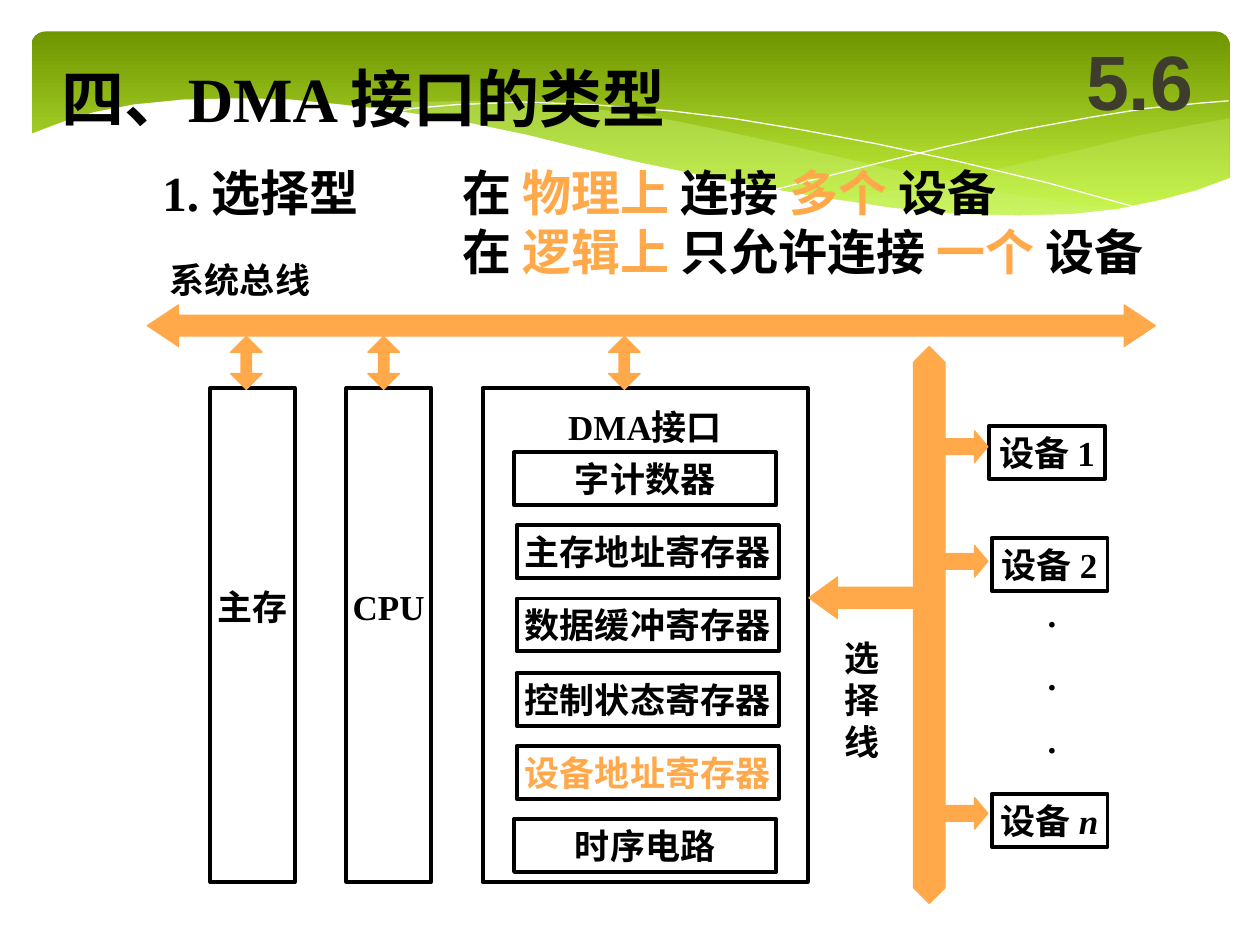
from lxml.etree import SubElement
from pptx import Presentation
from pptx.dml.color import RGBColor
from pptx.enum.shapes import MSO_SHAPE as Shape
from pptx.enum.text import MSO_ANCHOR as Anchor, MSO_AUTO_SIZE as AutoSize, PP_ALIGN as Align
from pptx.oxml.ns import qn
from pptx.util import Pt

PX = 9144  # 100 px to the inch
BLACK, ORANGE, WHITE, PALE_GREEN = "000000", "FFA94A", "FFFFFF", "CAF278"
color = RGBColor.from_string


def add_block(kind, box, fill=None, line=None, width=0.75, adjustments=()):
    block = slide.shapes.add_shape(kind, *[n * PX for n in box])
    block.shadow.inherit = False
    for index, value in enumerate(adjustments):
        block.adjustments[index] = value
    if fill:
        block.fill.solid()
        block.fill.fore_color.rgb = color(fill)
    else:
        block.fill.background()
    if line:
        block.line.color.rgb = color(line)
        block.line.width = Pt(width)
    else:
        block.line.fill.background()
    return block


def format_text(shape, size, hex_color=BLACK, align=Align.LEFT, anchor=Anchor.TOP,
                font="Times New Roman", wrap=False):
    frame = shape.text_frame
    frame.word_wrap = wrap
    frame.auto_size = AutoSize.NONE
    frame.vertical_anchor = anchor
    for paragraph in frame.paragraphs:
        paragraph.alignment = align
        for run in paragraph.runs:
            run.font.name = font
            run.font.size = Pt(size)
            run.font.bold = True
            run.font.color.rgb = color(hex_color)


presentation = Presentation()
presentation.slide_width = 1000 * PX
presentation.slide_height = 750 * PX
slide = presentation.slides.add_slide(presentation.slide_layouts[1])
title, body = slide.placeholders

# Green banner with waves
banner = add_block(Shape.ROUNDED_RECTANGLE, (25, 25, 951, 156), PALE_GREEN, adjustments=[0.07])
banner.fill.gradient()
banner.fill.gradient_angle = 270
for stop, hex_color in zip(banner.fill.gradient_stops, ("6F9500", "D0FF44")):
    stop.color.rgb = color(hex_color)

right_wave = [(975, 94), (948, 99), (906, 107), (861, 118), (805, 131), (753, 143), (706, 152),
              (661, 160), (691, 164), (732, 168), (769, 171), (803, 172), (835, 172), (872, 169),
              (905, 163), (935, 156), (963, 147), (976, 141), (976, 94)]
long_wave = [(893, 167), (837, 160), (775, 149), (706, 134), (629, 116), (584, 106), (541, 97),
             (501, 90), (441, 83), (380, 80), (328, 81), (286, 86), (342, 94), (404, 106),
             (449, 116), (530, 135), (601, 150), (665, 161), (722, 168), (773, 172), (818, 173),
             (857, 171), (893, 167)]
falling_line = [(309, 90), (328, 86), (363, 83), (416, 81), (469, 83), (532, 88), (582, 94),
                (636, 103), (695, 114), (760, 128), (831, 145), (907, 166)]
rising_line = [(613, 151), (652, 141), (695, 130), (748, 117), (806, 104), (866, 93), (910, 86),
               (951, 82), (975, 80)]
white_wave = [(977, 141), (950, 151), (920, 159), (887, 166), (850, 170), (809, 171), (761, 170),
              (708, 165), (647, 156), (579, 144), (503, 128), (418, 107), (365, 96), (315, 88),
              (271, 83), (230, 79), (193, 78), (146, 79), (106, 83), (75, 89), (52, 96),
              (36, 102), (23, 107), (23, 224), (977, 224)]
for points, fill, opacity in [(right_wave, PALE_GREEN, 29), (long_wave, PALE_GREEN, 40),
                              (falling_line, None, 100), (rising_line, None, 100),
                              (white_wave, WHITE, 100)]:
    builder = slide.shapes.build_freeform(*points[0], scale=PX)
    builder.add_line_segments(points[1:], close=fill is not None)
    wave = builder.convert_to_shape()
    wave.shadow.inherit = False
    if fill is None:
        wave.fill.background()
        wave.line.color.rgb = color(WHITE)
        wave.line.width = Pt(0)
        continue
    wave.line.fill.background()
    wave.fill.solid()
    wave.fill.fore_color.rgb = color(fill)
    if opacity < 100:
        fill_color = wave._element.spPr.find(qn("a:solidFill"))[0]
        SubElement(fill_color, qn("a:alpha"), val=str(opacity * 1000))

# Title and body, brought in front of the banner
for placeholder, box in ((title, (39, 42, 526, 70)), (body, (357, 124, 610, 104))):
    slide.shapes._spTree.append(placeholder._element)
    placeholder.left, placeholder.top, placeholder.width, placeholder.height = [n * PX for n in box]
title.text_frame.text = "四、DMA 接口的类型"
format_text(title, 36)

body.text_frame.text = "\n"
statements = [("在 ", "物理上 ", "连接 ", "多个 ", "设备"),
              ("在 ", "逻辑上 ", "只允许连接 ", "一个 ", "设备")]
for paragraph, parts in zip(body.text_frame.paragraphs, statements):
    properties = paragraph._p.get_or_add_pPr()
    properties.set("marL", "0")
    properties.set("indent", "0")
    SubElement(properties, qn("a:buNone"))
    paragraph.space_before = Pt(0)
    for part in parts:
        paragraph.add_run().text = part
format_text(body, 28, wrap=True)
for paragraph in body.text_frame.paragraphs:
    for emphasis in paragraph.runs[1::2]:
        emphasis.font.color.rgb = color(ORANGE)

# Free-standing labels
for text, box, size in [("1. 选择型", (119, 124, 184, 57), 28),
                        ("系统总线", (125, 200, 131, 44), 20),
                        ("选\n择\n线", (660, 500, 48, 110), 20)]:
    label = slide.shapes.add_textbox(*[n * PX for n in box])
    label.text_frame.text = text
    format_text(label, size)

dots = slide.shapes.add_textbox(814 * PX, 465 * PX, 42 * PX, 136 * PX)
dots.text_frame.text = ".\n.\n."
format_text(dots, 20, align=Align.CENTER)
for paragraph in dots.text_frame.paragraphs[1:]:
    paragraph.space_before = Pt(12)

section = slide.shapes.add_textbox(842 * PX, 17 * PX, 125 * PX, 92 * PX)
section.text_frame.text = "5.6"
format_text(section, 44, "3E3D2D", Align.CENTER, Anchor.MIDDLE, "Arial", wrap=True)

# Outlined boxes: text, box, colour, anchor, top inset, bottom inset
outlined = [("主存", (167, 308, 67, 392), BLACK, Anchor.MIDDLE, 0, 46),
            ("CPU", (275, 308, 67, 392), BLACK, Anchor.MIDDLE, 0, 46),
            ("DMA接口", (383, 308, 258, 392), BLACK, Anchor.TOP, 14, 0)]
registers = ["字计数器", "主存地址寄存器", "数据缓冲寄存器", "控制状态寄存器", "设备地址寄存器", "时序电路"]
for row, text in enumerate(registers):
    left = 410 if text.endswith("寄存器") else 408
    hex_color = ORANGE if text == "设备地址寄存器" else BLACK
    outlined.append((text, (left, round(359 + row * 58.2), 208, 42), hex_color, Anchor.MIDDLE, 0, 0))
for name, left, top in (("1", 785, 338), ("2", 787, 427), ("n", 787, 630)):
    outlined.append(("设备 " + name, (left, top, 92, 42), BLACK, Anchor.MIDDLE, 0, 0))
for text, box, hex_color, anchor, top_inset, bottom_inset in outlined:
    block = add_block(Shape.RECTANGLE, box, line=BLACK, width=2.25)
    frame = block.text_frame
    frame.margin_left = frame.margin_right = 0
    frame.margin_top, frame.margin_bottom = top_inset * PX, bottom_inset * PX
    frame.text = text
    if text == "设备 n":
        frame.text = "设备 "
        variable = frame.paragraphs[0].add_run()
        variable.text = "n"
        variable.font.italic = True
    format_text(block, 20, hex_color, Align.CENTER, anchor)

# Buses and block arrows
arrows = [(Shape.LEFT_RIGHT_ARROW, (117, 242, 800, 33), 0.75),
          (Shape.UP_DOWN_ARROW, (725, 275, 25, 442), 1.42),
          (Shape.LEFT_ARROW, (642, 458, 92, 33), 0.69)]
arrows += [(Shape.UP_DOWN_ARROW, (left, 267, 25, 42), 0.33) for left in (183, 292, 483)]
arrows += [(Shape.RIGHT_ARROW, (742, top, 42, 25), 0.42) for top in (342, 433, 633)]
for kind, box, head_length in arrows:
    add_block(kind, box, ORANGE, ORANGE, adjustments=[0.5, head_length])

presentation.save("out.pptx")
